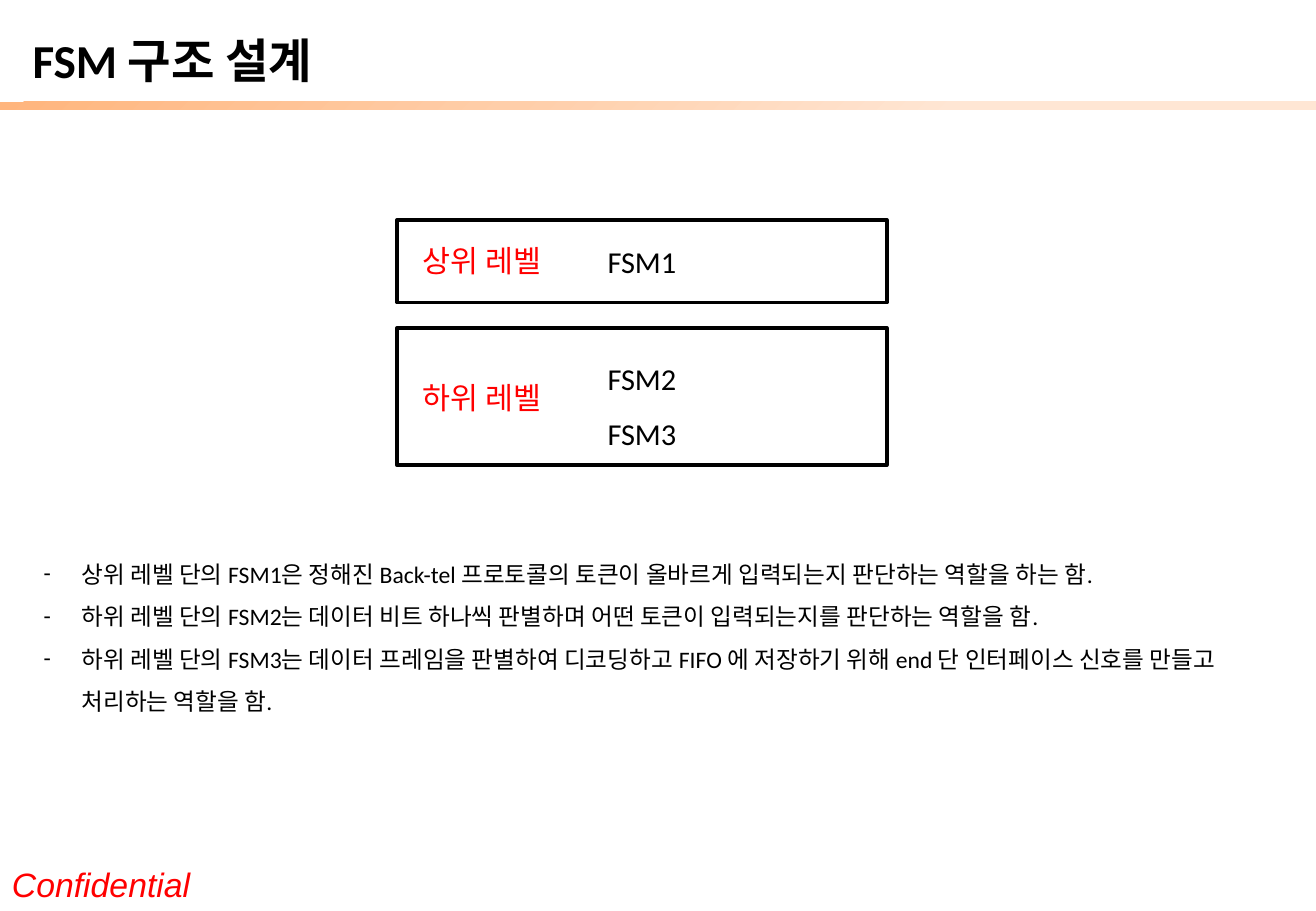
from lxml import etree
from pptx import Presentation
from pptx.dml.color import RGBColor
from pptx.enum.shapes import MSO_SHAPE as Shape
from pptx.enum.text import MSO_ANCHOR as Anchor, MSO_AUTO_SIZE as Fit, PP_ALIGN as Align
from pptx.oxml import parse_xml
from pptx.oxml.ns import nsdecls, qn
from pptx.util import Pt

BLACK = RGBColor(0x00, 0x00, 0x00)
RED = RGBColor(0xFF, 0x00, 0x00)

# Content
TITLE = "FSM 구조 설계"
FOOTER = "Confidential"
# label, label top, box top, box height, machines, line spacing
LEVELS = [
    ("상위 레벨", 139.7, 130.3, 49, ["FSM1"], 1),
    ("하위 레벨", 221, 194.4, 81.4, ["FSM2", "FSM3"], 1.5),
]
NOTES = [
    "상위 레벨 단의 FSM1은 정해진 Back-tel 프로토콜의 토큰이 올바르게 입력되는지 판단하는 역할을 하는 함.",
    "하위 레벨 단의 FSM2는 데이터 비트 하나씩 판별하며 어떤 토큰이 입력되는지를 판단하는 역할을 함.",
    "하위 레벨 단의 FSM3는 데이터 프레임을 판별하여 디코딩하고 FIFO 에 저장하기 위해 end 단 인터페이스 "
    "신호를 만들고 처리하는 역할을 함.",
]
STOPS = [(27, "FFE6D4"), (61, "FFCEA9"), (100, "FFB57D")]

WIDTH, HEIGHT = 780, 540
BOX_LEFT, BOX_WIDTH = 235.4, 290.2
LABEL_LEFT = 243.4
INDENT = 22.5


def write(shape, lines, size, color=BLACK, font="Calibri", bold=False,
          italic=False, align=Align.LEFT, space=1):
    frame = shape.text_frame
    frame.text = "\n".join(lines)
    for para in frame.paragraphs:
        para.alignment = align
        para.line_spacing = space
        for run in para.runs:
            face = run.font
            face.name, face.size = font, Pt(size)
            face.bold, face.italic = bold, italic
            face.color.rgb = color
    return frame


def add_text(left, top, width, height, lines, size, wrap=True, **style):
    box = slide.shapes.add_textbox(Pt(left), Pt(top), Pt(width), Pt(height))
    frame = write(box, lines, size, **style)
    frame.word_wrap = wrap
    return frame


def add_rect(left, top, width, height):
    rect = slide.shapes.add_shape(
        Shape.RECTANGLE, Pt(left), Pt(top), Pt(width), Pt(height))
    rect.shadow.inherit = False
    return rect


def add_dash(para):
    props = para._p.get_or_add_pPr()
    props.set("marL", str(Pt(INDENT)))
    props.set("indent", str(-Pt(INDENT)))
    etree.SubElement(props, qn("a:buFont")).set("typeface", "Calibri")
    etree.SubElement(props, qn("a:buChar")).set("char", "-")


deck = Presentation()
deck.slide_width, deck.slide_height = Pt(WIDTH), Pt(HEIGHT)
slide = deck.slides.add_slide(deck.slide_layouts[6])

# Band under the title, with a radial fade
band = add_rect(0, 60.2, WIDTH, 5)
band.line.fill.background()
stops = "".join(
    f'<a:gs pos="{pos * 1000}"><a:srgbClr val="{tint}"/></a:gs>'
    for pos, tint in STOPS)
fade = parse_xml(
    f'<a:gradFill {nsdecls("a")} rotWithShape="1"><a:gsLst>{stops}</a:gsLst>'
    '<a:path path="circle"><a:fillToRect l="100000" t="100000"/></a:path>'
    '</a:gradFill>')
band._element.spPr.find(qn("a:prstGeom")).addnext(fade)

# Footer and title
add_text(0, 508.5, 124, 31.5, [FOOTER], 20,
         color=RED, font="Arial", italic=True)
head = add_text(12.2, 10.8, 564, 49, [TITLE], 28, bold=True)
head.vertical_anchor = Anchor.MIDDLE

# Level boxes
for label, label_top, top, height, names, space in LEVELS:
    box = add_rect(BOX_LEFT, top, BOX_WIDTH, height)
    box.fill.background()
    box.line.color.rgb = BLACK
    box.line.width = Pt(2.25)
    frame = write(box, names, 18, align=Align.CENTER, space=space)
    frame.vertical_anchor = Anchor.MIDDLE
    tag = add_text(LABEL_LEFT, label_top, 91.4, 29, [label], 18,
                   wrap=False, color=RED)
    tag.auto_size = Fit.SHAPE_TO_FIT_TEXT

# Notes
notes = add_text(18.7, 319.7, 742.3, 106.6, NOTES, 14, space=1.5)
for para in notes.paragraphs:
    add_dash(para)

deck.save("out.pptx")
